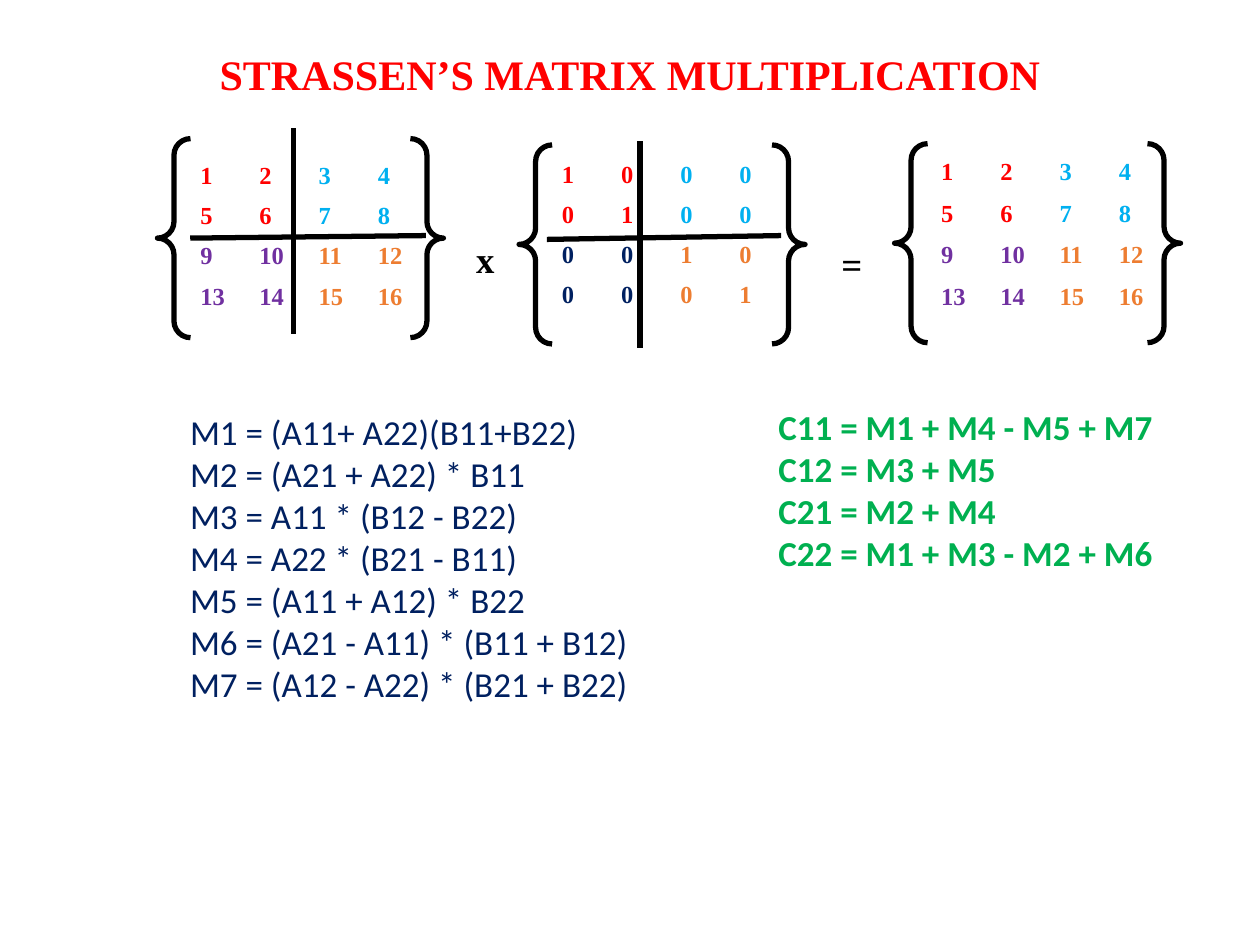
"""Build a slide on Strassen's matrix multiplication."""
from lxml import etree
from pptx import Presentation
from pptx.dml.color import RGBColor
from pptx.enum.shapes import MSO_CONNECTOR, MSO_SHAPE
from pptx.enum.text import MSO_ANCHOR, PP_ALIGN
from pptx.oxml.ns import qn
from pptx.util import Inches, Pt

RED = RGBColor(0xFF, 0x00, 0x00)
BLUE = RGBColor(0x00, 0xB0, 0xF0)
PURPLE = RGBColor(0x70, 0x30, 0xA0)
ORANGE = RGBColor(0xED, 0x7D, 0x31)
NAVY = RGBColor(0x00, 0x20, 0x60)
GREEN = RGBColor(0x00, 0xB0, 0x50)
BLACK = RGBColor(0x00, 0x00, 0x00)
SERIF, SANS = "Times New Roman", "Calibri"

TITLE = "STRASSEN’S MATRIX MULTIPLICATION"
COUNTING = [[4 * row + column + 1 for column in range(4)] for row in range(4)]
IDENTITY = [[int(row == column) for column in range(4)] for row in range(4)]
COUNTING_QUADRANTS = [[RED, BLUE], [PURPLE, ORANGE]]
IDENTITY_QUADRANTS = [[RED, BLUE], [NAVY, ORANGE]]
MATRICES = [
    (COUNTING, COUNTING_QUADRANTS, (1.51, 1.25), 0.32, (1.25, 1.1)),
    (IDENTITY, IDENTITY_QUADRANTS, (4.38, 1.24), 0.32, (4.12, 1.15)),
    (COUNTING, COUNTING_QUADRANTS, (7.39, 1.22), 0.33, (7.1, 1.14)),
]
BRACE_SIZE = (2.27, 1.58)
COLUMN_WIDTH = 0.47
DIVIDERS = [
    ((2.33, 1.02), (2.33, 2.65)),
    ((1.51, 1.89), (3.38, 1.87)),
    ((5.08, 1.12), (5.08, 2.76)),
    ((4.34, 1.9), (6.2, 1.87)),
]
OPERATORS = [("x", (3.68, 1.83)), ("=", (6.58, 1.87))]
PRODUCTS = [
    "M1 = (A11+ A22)(B11+B22)",
    "M2 = (A21 + A22) * B11",
    "M3 = A11 * (B12 - B22)",
    "M4 = A22 * (B21 - B11)",
    "M5 = (A11 + A12) * B22",
    "M6 = (A21 - A11) * (B11 + B12)",
    "M7 = (A12 - A22) * (B21 + B22)",
]
RESULTS = [
    "C11 = M1 + M4 - M5 + M7",
    "C12 = M3 + M5",
    "C21 = M2 + M4",
    "C22 = M1 + M3 - M2 + M6",
]


def inches(*lengths):
    return [Inches(length) for length in lengths]


def style(paragraph, size, face, color, bold):
    font = paragraph.font
    font.size, font.name, font.bold = Pt(size), face, bold
    font.color.rgb = color


def add_text(slide, lines, place, size, face, color, bold=True, wrap=True):
    frame = slide.shapes.add_textbox(*inches(*place)).text_frame
    frame.word_wrap = wrap
    frame.text = "\n".join(lines)
    for paragraph in frame.paragraphs:
        style(paragraph, size, face, color, bold)
    return frame


def add_matrix(slide, values, quadrants, corner, row_height):
    count = len(values)
    size = (count * COLUMN_WIDTH, count * row_height)
    table = slide.shapes.add_table(count, count, *inches(*corner, *size)).table
    table.first_row = table.horz_banding = False
    for r, row in enumerate(values):
        for c, value in enumerate(row):
            cell = table.cell(r, c)
            cell.fill.background()
            cell.margin_left = cell.margin_right = Inches(0.08)
            cell.margin_top = cell.margin_bottom = Inches(0.04)
            cell.text = str(value)
            color = quadrants[r * 2 // count][c * 2 // count]
            style(cell.text_frame.paragraphs[0], 14, SERIF, color, True)


def draw_black(line):
    line.color.rgb = BLACK
    line.width = Pt(3)


def add_braces(slide, corner):
    braces = slide.shapes.add_shape(MSO_SHAPE.DOUBLE_BRACE, *inches(*corner, *BRACE_SIZE))
    braces.shadow.inherit = False
    braces.adjustments[0] = 0.083
    braces.fill.background()
    draw_black(braces.line)


def add_divider(slide, start, end):
    divider = slide.shapes.add_connector(MSO_CONNECTOR.STRAIGHT, *inches(*start, *end))
    draw_black(divider.line)
    etree.SubElement(divider._element.spPr, qn("a:effectLst"))


def main():
    deck = Presentation()
    deck.slide_width, deck.slide_height = inches(10, 7.5)
    slide = deck.slides.add_slide(deck.slide_layouts[6])

    title = add_text(slide, [TITLE], (1.25, 0.45, 7.5, 0.39), 24, SERIF, RED)
    title.vertical_anchor = MSO_ANCHOR.BOTTOM
    title.paragraphs[0].alignment = PP_ALIGN.CENTER
    title.paragraphs[0].line_spacing = 0.9

    for values, quadrants, corner, row_height, brace_corner in MATRICES:
        add_matrix(slide, values, quadrants, corner, row_height)
        add_braces(slide, brace_corner)
    for start, end in DIVIDERS:
        add_divider(slide, start, end)
    for sign, corner in OPERATORS:
        add_text(slide, [sign], (*corner, 0.35, 0.45), 21, SERIF, BLACK, wrap=False)

    add_text(slide, PRODUCTS, (1.41, 3.21, 4.18, 2.44), 20, SANS, NAVY, bold=False)
    add_text(slide, RESULTS, (6.08, 3.17, 3.17, 1.44), 20, SANS, GREEN)
    deck.save("out.pptx")


if __name__ == "__main__":
    main()
